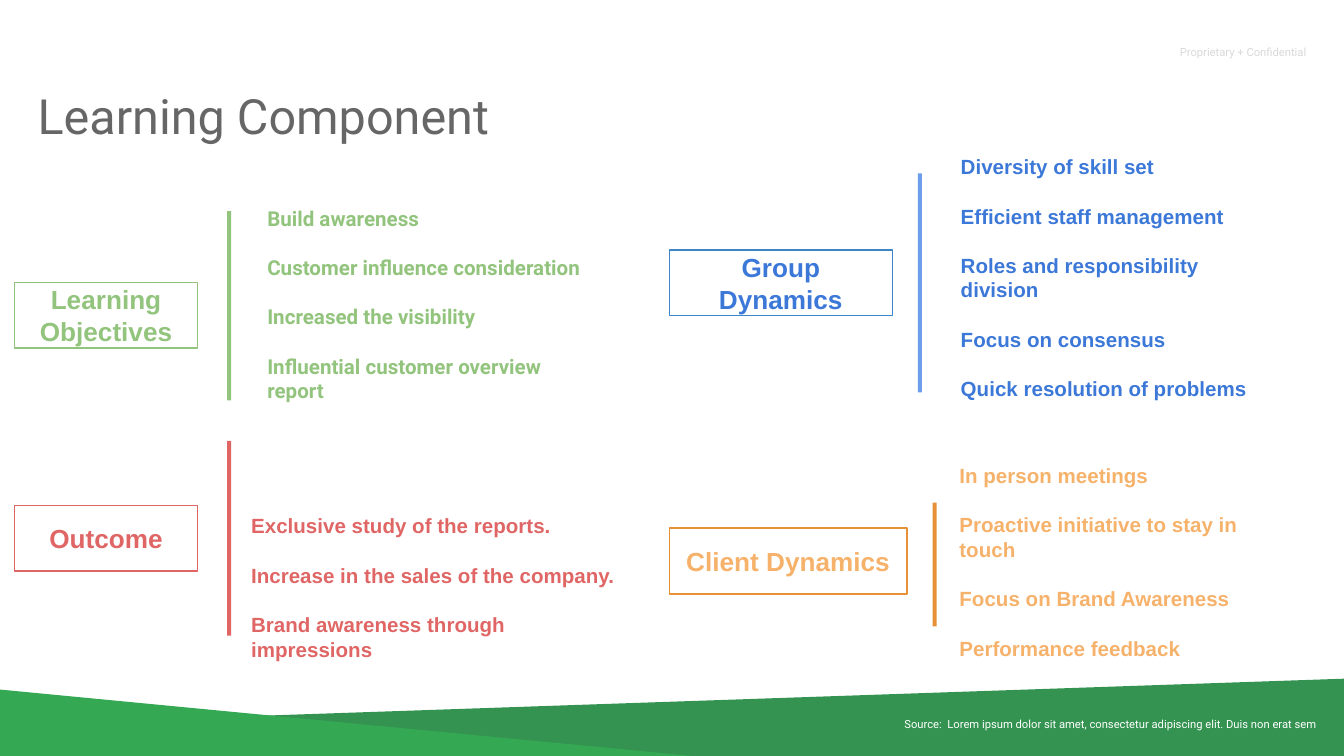
from pptx import Presentation
from pptx.dml.color import RGBColor
from pptx.enum.shapes import MSO_SHAPE
from pptx.enum.text import MSO_ANCHOR, MSO_AUTO_SIZE, PP_ALIGN
from pptx.util import Inches, Pt

RECTANGLE = MSO_SHAPE.RECTANGLE
TOP, MIDDLE = MSO_ANCHOR.TOP, MSO_ANCHOR.MIDDLE
LEFT, CENTER, RIGHT = PP_ALIGN.LEFT, PP_ALIGN.CENTER, PP_ALIGN.RIGHT
NO_AUTOFIT = MSO_AUTO_SIZE.NONE

WHITE = RGBColor(0xFF, 0xFF, 0xFF)
PALE_GREY = RGBColor(0xD9, 0xD9, 0xD9)
TITLE_GREY = RGBColor(0x66, 0x66, 0x66)
DARK_GREEN = RGBColor(0x34, 0x93, 0x51)
BRIGHT_GREEN = RGBColor(0x34, 0xA8, 0x53)
SOFT_GREEN = RGBColor(0x93, 0xC4, 0x7D)
RED = RGBColor(0xE0, 0x66, 0x66)
BLUE = RGBColor(0x3C, 0x78, 0xD8)
BLUE_OUTLINE = RGBColor(0x3D, 0x85, 0xC6)
LIGHT_BLUE = RGBColor(0x6D, 0x9E, 0xEB)
ORANGE = RGBColor(0xE6, 0x91, 0x38)
LIGHT_ORANGE = RGBColor(0xF6, 0xB2, 0x6B)


def write_text(shape, lines, size, color, font="Arial", bold=False, align=LEFT,
               anchor=TOP, margin_top=0.1, gap=0):
    """Fill a shape with one paragraph per line; gap is the points between them."""
    frame = shape.text_frame
    frame.word_wrap = True
    frame.auto_size = NO_AUTOFIT
    frame.vertical_anchor = anchor
    frame.margin_left = frame.margin_right = frame.margin_bottom = Inches(0.1)
    frame.margin_top = Inches(margin_top)
    for index, line in enumerate(lines):
        para = frame.paragraphs[0] if index == 0 else frame.add_paragraph()
        para.alignment = align
        para.line_spacing = 1.0
        para.space_before = Pt(gap if index else 0)
        span = para.add_run()
        span.text = line
        span.font.name = font
        span.font.size = Pt(size)
        span.font.bold = bold
        span.font.color.rgb = color


deck = Presentation()
deck.slide_width = Inches(10)
deck.slide_height = deck.slide_width * 9 // 16
page = deck.slides.add_slide(deck.slide_layouts[5])

# Green bands along the bottom
bands = [
    (DARK_GREEN, [(10.03, 5.65), (10.01, 5.05), (0.08, 5.39), (0.09, 5.62)]),
    (BRIGHT_GREEN, [(5.2, 5.63), (-0.01, 5.13), (-0.01, 5.64)]),
]
for color, corners in bands:
    points = [(Inches(x), Inches(y)) for x, y in corners]
    builder = page.shapes.build_freeform(*points[0])
    builder.add_line_segments(points[1:], close=True)
    band = builder.convert_to_shape()
    band.shadow.inherit = False
    band.fill.solid()
    band.fill.fore_color.rgb = color
    band.line.fill.background()

# Title and small print
title = page.shapes.title
title.left, title.top = Inches(0.18), Inches(0.54)
title.width, title.height = Inches(7.23), Inches(0.83)
write_text(title, ["Learning Component"], 26, TITLE_GREY, font="Roboto")

small_print = [
    ("Proprietary + Confidential", (8.68, 0.24, 1.32, 0.33), PALE_GREY, LEFT),
    ("Source:  Lorem ipsum dolor sit amet, consectetur adipiscing elit. Duis non erat sem",
     (5.14, 5.24, 4.75, 0.41), WHITE, RIGHT),
]
for text, place, color, align in small_print:
    box = page.shapes.add_textbox(*map(Inches, place))
    write_text(box, [text], 6, color, font="Roboto", align=align)

# Four sections: outlined label, vertical bar, list of points
sections = [
    {"label": "Learning Objectives", "label_at": (0.11, 2.1, 1.36),
     "bar_at": (1.69, 1.57, 1.41), "list_at": (1.89, 1.43, 2.68, 0.92),
     "text": SOFT_GREEN, "outline": SOFT_GREEN, "bar": SOFT_GREEN,
     "format": {"font": "Roboto"},
     "points": ["Build awareness", "Customer influence consideration",
                "Increased the visibility", "Influential customer overview report"]},
    {"label": "Outcome", "label_at": (0.11, 3.76, 1.36),
     "bar_at": (1.69, 3.28, 1.45), "list_at": (1.77, 4.03, 2.92, 0.49),
     "text": RED, "outline": RED, "bar": RED,
     "format": {"anchor": MIDDLE, "margin_top": 0.29},
     "points": ["Exclusive study of the reports.", "Increase in the sales of the company.",
                "Brand awareness through impressions"]},
    {"label": "Group Dynamics", "label_at": (4.98, 1.86, 1.66),
     "bar_at": (6.83, 1.29, 1.63), "list_at": (7.05, 1.25, 2.52, 1.63),
     "text": BLUE, "outline": BLUE_OUTLINE, "bar": LIGHT_BLUE,
     "format": {"anchor": MIDDLE},
     "points": ["Diversity of skill set", "Efficient staff management",
                "Roles and responsibility division", "Focus on consensus",
                "Quick resolution of problems"]},
    {"label": "Client Dynamics", "label_at": (4.98, 3.93, 1.77),
     "bar_at": (6.94, 3.74, 0.92), "list_at": (7.04, 3.63, 2.52, 1.1),
     "text": LIGHT_ORANGE, "outline": ORANGE, "bar": ORANGE,
     "format": {"anchor": MIDDLE},
     "points": ["In person meetings", "Proactive initiative to stay in touch",
                "Focus on Brand Awareness", "Performance feedback"]},
]
for section in sections:
    label = page.shapes.add_shape(RECTANGLE, *map(Inches, (*section["label_at"], 0.49)))
    label.shadow.inherit = False
    label.fill.background()
    label.line.color.rgb = section["outline"]
    label.line.width = Pt(0.75)
    write_text(label, [section["label"]], 14, section["text"], bold=True,
               align=CENTER, anchor=MIDDLE)

    left, top, height = section["bar_at"]
    bar = page.shapes.add_shape(RECTANGLE, *map(Inches, (left, top, 0.03, height)))
    bar.shadow.inherit = False
    bar.fill.solid()
    bar.fill.fore_color.rgb = section["bar"]
    bar.line.fill.background()

    box = page.shapes.add_textbox(*map(Inches, section["list_at"]))
    write_text(box, section["points"], 11, section["text"], bold=True, gap=13.2,
               **section["format"])

deck.save("out.pptx")
